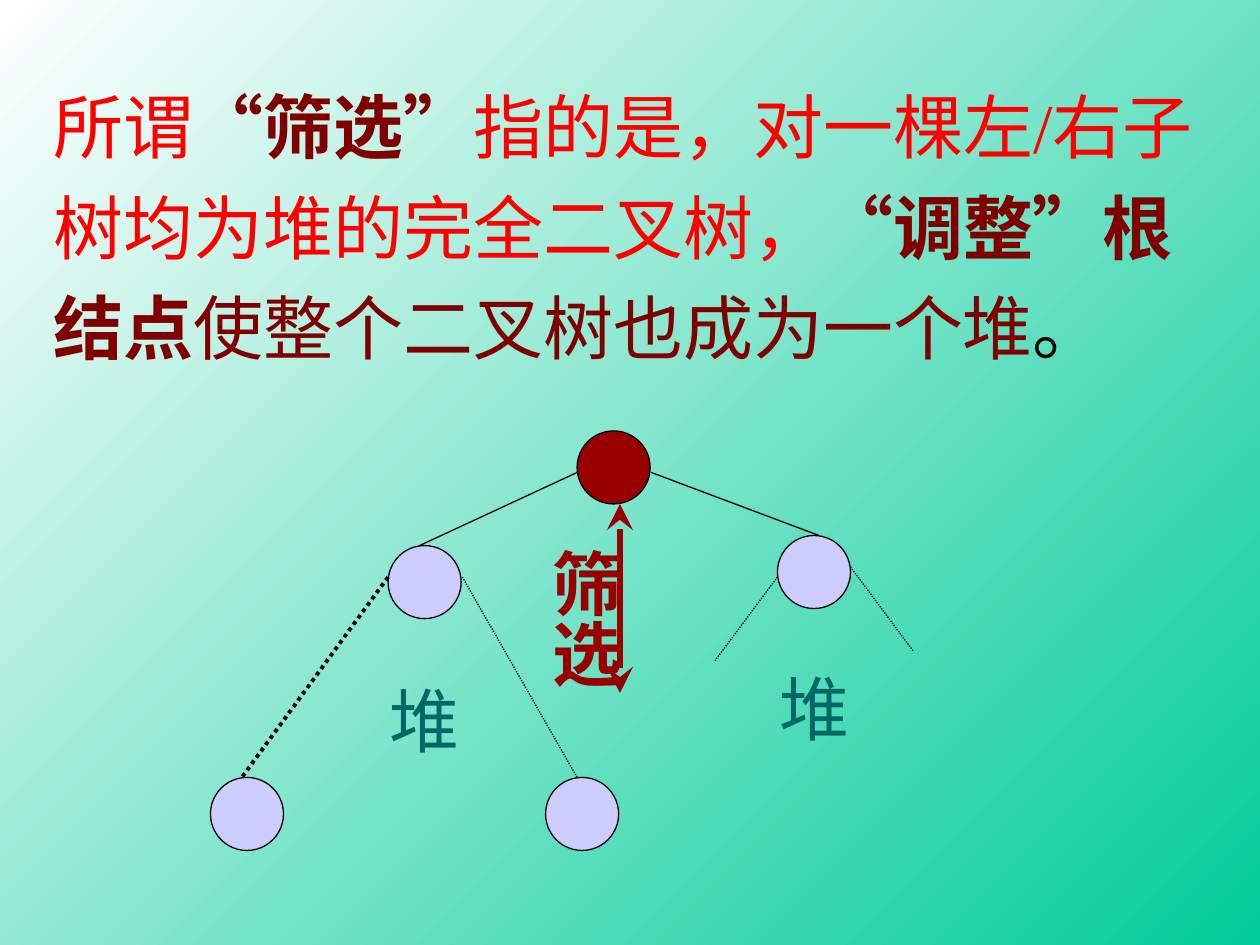
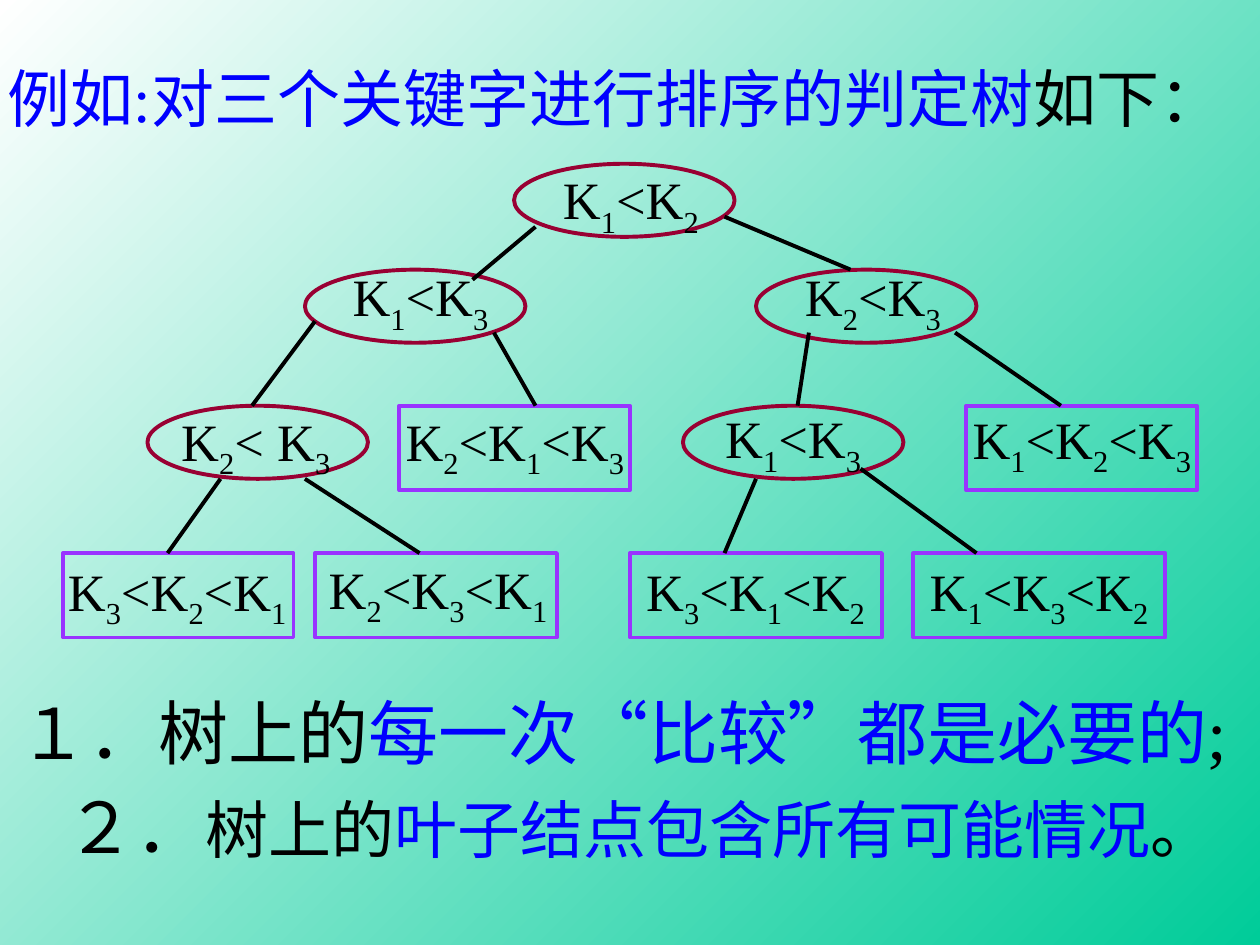
"""Build two slides on heap sifting and on the decision tree for sorting three keys."""
from dataclasses import dataclass
from typing import Optional

from lxml.etree import SubElement
from pptx import Presentation
from pptx.dml.color import RGBColor
from pptx.enum.dml import MSO_LINE
from pptx.enum.shapes import MSO_CONNECTOR, MSO_SHAPE
from pptx.enum.text import MSO_ANCHOR, MSO_AUTO_SIZE, PP_ALIGN
from pptx.oxml.ns import qn
from pptx.util import Emu, Pt

PX = 9144


@dataclass(frozen=True)
class Theme:
    font: str = "Times New Roman"
    black: str = "000000"
    red: str = "FF0000"
    maroon: str = "800000"
    blue: str = "0000FF"
    teal: str = "006666"
    root: str = "990000"
    node: str = "CCCCFF"
    test: str = "990033"
    leaf: str = "9933FF"
    background: tuple[str, str] = ("FFFFFF", "00CC99")
    body_size: int = 40
    title_size: int = 36
    key_size: int = 30
    thin: float = 0.75
    medium: float = 2.25
    thick: float = 3


THEME = Theme()


@dataclass(frozen=True)
class Area:
    left: int
    top: int
    width: int
    height: int

    def emu(self) -> tuple[Emu, ...]:
        return tuple(Emu(side * PX) for side in (self.left, self.top, self.width, self.height))


@dataclass(frozen=True)
class Span:
    text: str
    color: str = THEME.black
    size: int = THEME.body_size
    bold: bool = False
    subscript: bool = False


@dataclass(frozen=True)
class Edge:
    start: tuple[int, int]
    end: tuple[int, int]
    width: float = THEME.thin
    dotted: bool = False
    color: str = THEME.black
    arrows: bool = False


@dataclass(frozen=True)
class KeyNode:
    text: str
    left: int
    top: int
    label: Optional[tuple[int, int]]
    leaf_width: int = 0


CIRCLE = 58
LABEL_HEIGHT = 67
TEST_WIDTH = 175
TEST_LABEL_WIDTH = 150
LEAF_LABEL_WIDTH = 205
LEVELS = (130, 214, 322, 439)

HEAP_CIRCLES = ((458, 342, THEME.root), (308, 433, THEME.node), (617, 425, THEME.node),
                (167, 617, THEME.node), (433, 617, THEME.node))
HEAP_EDGES = (
    Edge((458, 375), (333, 433)),
    Edge((517, 375), (650, 425)),
    Edge((308, 458), (192, 617), THEME.medium, dotted=True),
    Edge((367, 458), (458, 617), dotted=True),
    Edge((617, 458), (567, 525), dotted=True),
    Edge((675, 450), (725, 517), dotted=True),
)
SIFT_ARROW = Edge((492, 400), (492, 550), THEME.thick, color=THEME.root, arrows=True)

KEY_NODES = (
    KeyNode("K1<K2", 408, LEVELS[0], (437, 128)),
    KeyNode("K1<K3", 242, LEVELS[1], (270, 205)),
    KeyNode("K2<K3", 600, LEVELS[1], (629, 205)),
    KeyNode("K2< K3", 117, LEVELS[2], (134, 320)),
    KeyNode("K1<K3", 542, LEVELS[2], None),
    KeyNode("K2<K1<K3", 317, LEVELS[2], (312, 320), 183),
    KeyNode("K1<K2<K3", 767, LEVELS[2], (762, 318), 183),
    KeyNode("K3<K2<K1", 50, LEVELS[3], (44, 439), 183),
    KeyNode("K2<K3<K1", 250, LEVELS[3], (251, 437), 192),
    KeyNode("K3<K1<K2", 500, LEVELS[3], (503, 439), 200),
    KeyNode("K1<K3<K2", 725, LEVELS[3], (728, 439), 200),
)
KEY_EDGES = tuple(Edge(start, end, THEME.medium) for start, end in (
    ((425, 180), (375, 222)), ((575, 172), (675, LEVELS[1])),
    ((250, 255), (200, LEVELS[2])), ((392, 264), (425, LEVELS[2])),
    ((642, 264), (633, LEVELS[2])), ((758, 264), (842, LEVELS[2])),
    ((175, 380), (133, LEVELS[3])), ((242, 380), (333, LEVELS[3])),
    ((600, 380), (575, LEVELS[3])), ((683, 372), (775, LEVELS[3])),
))


def rgb(color: str) -> RGBColor:
    return RGBColor.from_string(color)


def add_page(deck):
    page = deck.slides.add_slide(deck.slide_layouts[6])
    fill = page.background.fill
    fill.gradient()
    fill.gradient_angle = 315
    for stop, position, color in zip(fill.gradient_stops, (0, 1), THEME.background):
        stop.position = position
        stop.color.rgb = rgb(color)
    return page


def write_spans(para, spans: list[Span]) -> None:
    for span in spans:
        run = para.add_run()
        run.text = span.text
        run.font.name = THEME.font
        run.font.size = Pt(span.size)
        run.font.bold = span.bold
        run.font.color.rgb = rgb(span.color)
        if span.subscript:
            run._r.get_or_add_rPr().set("baseline", "-25000")


def add_text(page, area: Area, spans: list[Span], wrap: bool = False):
    box = page.shapes.add_textbox(*area.emu())
    box.text_frame.word_wrap = wrap
    box.text_frame.auto_size = MSO_AUTO_SIZE.SHAPE_TO_FIT_TEXT
    write_spans(box.text_frame.paragraphs[0], spans)
    return box


def set_margins(box, across: int, down: int) -> None:
    frame = box.text_frame
    frame.margin_left = frame.margin_right = Emu(across * PX)
    frame.margin_top = frame.margin_bottom = Emu(down * PX)


def add_outline(page, kind, area: Area, color: str, width: float, fill: Optional[str] = None):
    shape = page.shapes.add_shape(kind, *area.emu())
    shape.shadow.inherit = False
    if fill:
        shape.fill.solid()
        shape.fill.fore_color.rgb = rgb(fill)
    else:
        shape.fill.background()
    shape.line.color.rgb = rgb(color)
    shape.line.width = Pt(width)
    return shape


def add_edge(page, edge: Edge) -> None:
    ends = (Emu(length * PX) for length in edge.start + edge.end)
    connector = page.shapes.add_connector(MSO_CONNECTOR.STRAIGHT, *ends)
    connector.line.color.rgb = rgb(edge.color)
    connector.line.width = Pt(edge.width)
    if edge.dotted:
        connector.line.dash_style = MSO_LINE.ROUND_DOT
    properties = connector._element.spPr
    if edge.arrows:
        for tag in ("a:headEnd", "a:tailEnd"):
            SubElement(properties.find(qn("a:ln")), qn(tag), type="stealth", w="lg", len="lg")
    SubElement(properties, qn("a:effectLst"))


def key_spans(text: str) -> list[Span]:
    return [Span(letter, size=THEME.key_size, subscript=letter.isdigit()) for letter in text]


def add_key_node(page, node: KeyNode) -> None:
    if node.leaf_width:
        area = Area(node.left, node.top, node.leaf_width, LABEL_HEIGHT)
        add_outline(page, MSO_SHAPE.RECTANGLE, area, THEME.leaf, THEME.medium)
    else:
        area = Area(node.left, node.top, TEST_WIDTH, CIRCLE)
        shape = add_outline(page, MSO_SHAPE.OVAL, area, THEME.test, THEME.medium)
    if node.label:
        width = LEAF_LABEL_WIDTH if node.leaf_width else TEST_LABEL_WIDTH
        add_text(page, Area(*node.label, width, LABEL_HEIGHT), key_spans(node.text), wrap=True)
    else:
        shape.text_frame.word_wrap = False
        shape.text_frame.vertical_anchor = MSO_ANCHOR.MIDDLE
        set_margins(shape, 10, 5)
        para = shape.text_frame.paragraphs[0]
        para.alignment = PP_ALIGN.CENTER
        write_spans(para, key_spans(node.text))


def build_sifting(deck) -> None:
    page = add_page(deck)
    definition = add_text(page, Area(33, 48, 942, 330), [
        Span("所谓", THEME.red),
        Span("“筛选”", THEME.maroon, bold=True),
        Span("指的是，对一棵左/右子树均为堆的完全二叉树，", THEME.red),
        Span("“调整”根结点", THEME.maroon, bold=True),
        Span("使整个二叉树也成为一个堆", THEME.maroon),
        Span("。"),
    ], wrap=True)
    definition.text_frame.paragraphs[0].line_spacing = 1.2
    for left, top, fill in HEAP_CIRCLES:
        area = Area(left, top, CIRCLE, CIRCLE)
        add_outline(page, MSO_SHAPE.OVAL, area, THEME.black, THEME.thin, fill)
    for edge in HEAP_EDGES:
        add_edge(page, edge)
    for left, top in ((299, 533), (609, 523)):
        add_text(page, Area(left, top, 75, 77), [Span("堆", THEME.teal)])
    add_edge(page, SIFT_ARROW)
    sift = add_text(page, Area(417, 426, 86, 168), [Span("筛选", THEME.root, bold=True)], wrap=True)
    set_margins(sift, 5, 10)
    sift.text_frame._txBody.bodyPr.set("vert", "eaVert")


def build_decision_tree(deck) -> None:
    page = add_page(deck)
    title = add_text(page, Area(6, 42, 994, 70), [
        Span("例如:对三个关键字进行排序的判定树", THEME.blue, THEME.title_size),
        Span("如下：", size=THEME.title_size),
    ], wrap=True)
    set_margins(title, 0, 5)
    for node in KEY_NODES:
        add_key_node(page, node)
    for edge in KEY_EDGES:
        add_edge(page, edge)
    add_text(page, Area(5, 542, 992, 77), [
        Span("１．树上的"),
        Span("每一次“比较”都是必要的", THEME.blue),
        Span(";"),
    ])
    add_text(page, Area(42, 617, 931, 77), [
        Span("２．"),
        Span("树上的", size=THEME.title_size),
        Span("叶子结点包含所有可能情况", THEME.blue, THEME.title_size),
        Span("。", size=THEME.title_size),
    ])


def main() -> None:
    deck = Presentation()
    deck.slide_width, deck.slide_height = Emu(1000 * PX), Emu(750 * PX)
    build_sifting(deck)
    build_decision_tree(deck)
    deck.save("out.pptx")


if __name__ == "__main__":
    main()
